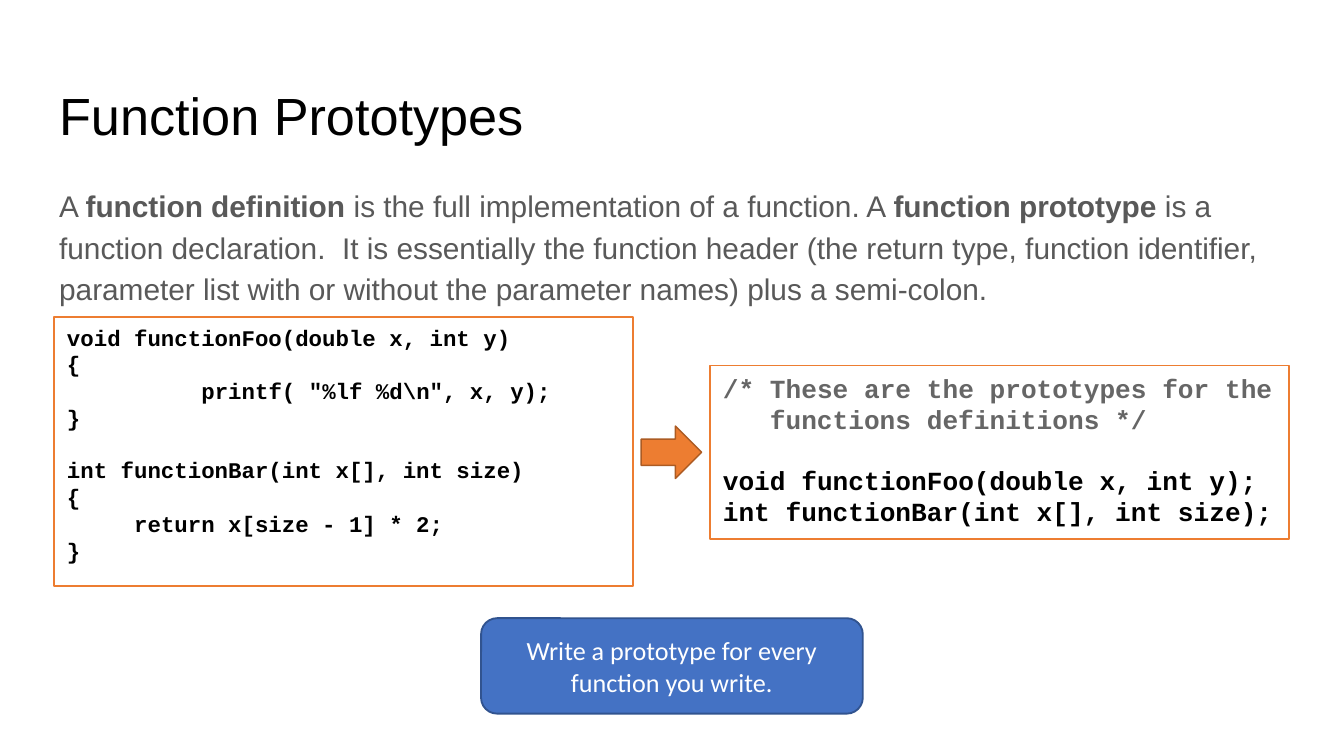
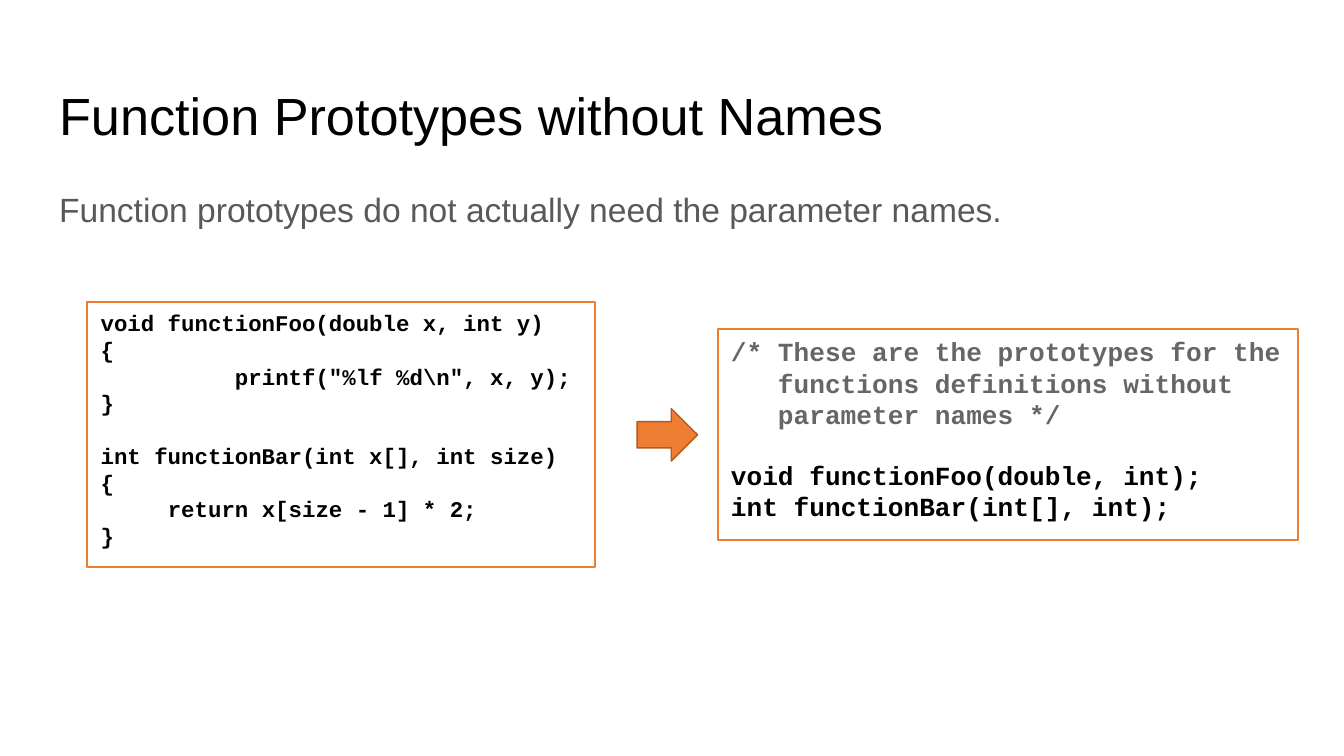
"""Build two slides on function prototypes in C."""
from lxml.etree import SubElement
from pptx import Presentation
from pptx.dml.color import RGBColor
from pptx.enum.shapes import MSO_SHAPE as Shape
from pptx.enum.text import MSO_ANCHOR as Anchor, MSO_AUTO_SIZE as AutoSize, PP_ALIGN as Align
from pptx.oxml.ns import qn
from pptx.util import Inches, Pt

COLORS = {
    "black": "000000", "white": "FFFFFF", "body": "595959", "comment": "666666",
    "orange": "ED7D31", "rust": "AC5B23", "blue": "4472C4", "navy": "31538F",
}
TITLE_BOX = (0.34, 0.49, 9.32, 0.63)
BODY_BOX = (0.34, 1.26, 9.32, 3.74)
ARROW_SIZE = (0.45, 0.39)
MONO_LINE_HEIGHT = 1.13
COMMENT_INDENT = 0.35


def set_all(target, values):
    for name, value in values.items():
        setattr(target, name, value)


class Deck:
    def __init__(self):
        self.presentation = Presentation()
        set_all(self.presentation, {"slide_width": Inches(10), "slide_height": Inches(5.625)})
        self.slide = None

    def color(self, name):
        return RGBColor.from_string(COLORS[name])

    def add_slide(self, title, body, body_size):
        self.slide = self.presentation.slides.add_slide(self.presentation.slide_layouts[1])
        heading, content = self.slide.placeholders
        self.fill_placeholder(heading, TITLE_BOX, [(title, False)], 28, "black",
                              {"line_spacing": 1.0}, 0.13)
        self.fill_placeholder(content, BODY_BOX, body, body_size, "body",
                              {"line_spacing": 1.15, "space_after": Pt(16)}, 0.1)

    def fill_placeholder(self, shape, box, runs, size, color, spacing, top):
        set_all(shape, dict(zip(("left", "top", "width", "height"), map(Inches, box))))
        self.format_frame(shape.text_frame, Anchor.TOP, 0.1)
        shape.text_frame.margin_top = Inches(top)
        paragraph = shape.text_frame.paragraphs[0]
        set_all(paragraph, {"alignment": Align.LEFT, "space_before": Pt(0), **spacing})
        self.set_indent(paragraph, 0)
        SubElement(paragraph._p.get_or_add_pPr(), qn("a:buNone"))
        for text, bold in runs:
            self.add_run(paragraph, text, "Arial", size, color, bold)

    def format_frame(self, frame, anchor, margin):
        set_all(frame, {
            "word_wrap": True, "auto_size": AutoSize.NONE, "vertical_anchor": anchor,
            "margin_left": Inches(0.1), "margin_right": Inches(0.1),
            "margin_top": Inches(margin), "margin_bottom": Inches(margin),
        })

    def set_indent(self, paragraph, indent):
        properties = paragraph._p.get_or_add_pPr()
        properties.set("marL", str(Inches(indent)))
        properties.set("indent", "0")

    def add_run(self, paragraph, text, font, size, color, bold=False):
        run = paragraph.add_run()
        run.text = text
        set_all(run.font, {"name": font, "size": Pt(size), "bold": bold})
        run.font.color.rgb = self.color(color)

    def add_shape(self, kind, box, fill, line, line_width=1):
        shape = self.slide.shapes.add_shape(kind, *map(Inches, box))
        shape.shadow.inherit = False
        shape.fill.solid()
        shape.fill.fore_color.rgb = self.color(fill)
        shape.line.color.rgb = self.color(line)
        shape.line.width = Pt(line_width)
        return shape

    def add_code(self, box, size, blocks):
        frame = self.add_shape(Shape.RECTANGLE, box, "white", "orange").text_frame
        self.format_frame(frame, Anchor.TOP, 0.05)
        paragraph = frame.paragraphs[0]
        for block_index, (color, lines) in enumerate(blocks):
            for line_index, (text, indent) in enumerate(lines):
                if block_index or line_index:
                    paragraph = frame.add_paragraph()
                gap = size * MONO_LINE_HEIGHT if block_index and not line_index else 0
                set_all(paragraph, {"alignment": Align.LEFT, "space_before": Pt(gap)})
                self.set_indent(paragraph, indent)
                self.add_run(paragraph, text, "Courier New", size, color, True)

    def add_definitions(self, box, print_call):
        foo = [("void functionFoo(double x, int y)", 0), ("{", 0), (print_call, 1), ("}", 0)]
        bar = [("int functionBar(int x[], int size)", 0), ("{", 0),
               ("return x[size - 1] * 2;", 0.5), ("}", 0)]
        self.add_code(box, 12, [("black", foo), ("black", bar)])

    def add_prototypes(self, box, comment, prototypes):
        notes = [(text, COMMENT_INDENT if index else 0) for index, text in enumerate(comment)]
        code = [(text, 0) for text in prototypes]
        self.add_code(box, 14, [("comment", notes), ("black", code)])

    def add_arrow(self, left, top):
        self.add_shape(Shape.RIGHT_ARROW, (left, top, *ARROW_SIZE), "orange", "rust", 0.75)

    def add_callout(self, box, text):
        frame = self.add_shape(Shape.ROUNDED_RECTANGLE, box, "blue", "navy").text_frame
        self.format_frame(frame, Anchor.MIDDLE, 0.05)
        frame.paragraphs[0].alignment = Align.CENTER
        self.add_run(frame.paragraphs[0], text, "Calibri", 14, "white")


def main():
    deck = Deck()

    deck.add_slide("Function Prototypes", [
        ("A ", False),
        ("function definition ", True),
        ("is the full implementation of a function. A ", False),
        ("function prototype", True),
        (" is a function declaration.  It is essentially the function header (the return type, "
         "function identifier, parameter list with or without the parameter names) "
         "plus a semi-colon.", False),
    ], 16)
    deck.add_definitions((0.4, 2.36, 4.31, 2), r'printf( "%lf %d\n", x, y);')
    deck.add_prototypes(
        (5.28, 2.72, 4.31, 1.29),
        ["/* These are the prototypes for the", "functions definitions */"],
        ["void functionFoo(double x, int y);", "int functionBar(int x[], int size);"])
    deck.add_callout((3.58, 4.6, 2.84, 0.71), "Write a prototype for every function you write.")
    deck.add_arrow(4.77, 3.17)

    deck.add_slide("Function Prototypes without Names", [
        ("Function prototypes do not actually need the parameter names.", False),
    ], 18)
    deck.add_definitions((0.65, 2.25, 3.78, 1.97), r'printf("%lf %d\n", x, y);')
    deck.add_arrow(4.74, 3.04)
    deck.add_prototypes(
        (5.34, 2.45, 4.32, 1.57),
        ["/* These are the prototypes for the", "functions definitions without",
         "parameter names */"],
        ["void functionFoo(double, int);", "int functionBar(int[], int);"])

    deck.presentation.save("out.pptx")


if __name__ == "__main__":
    main()
